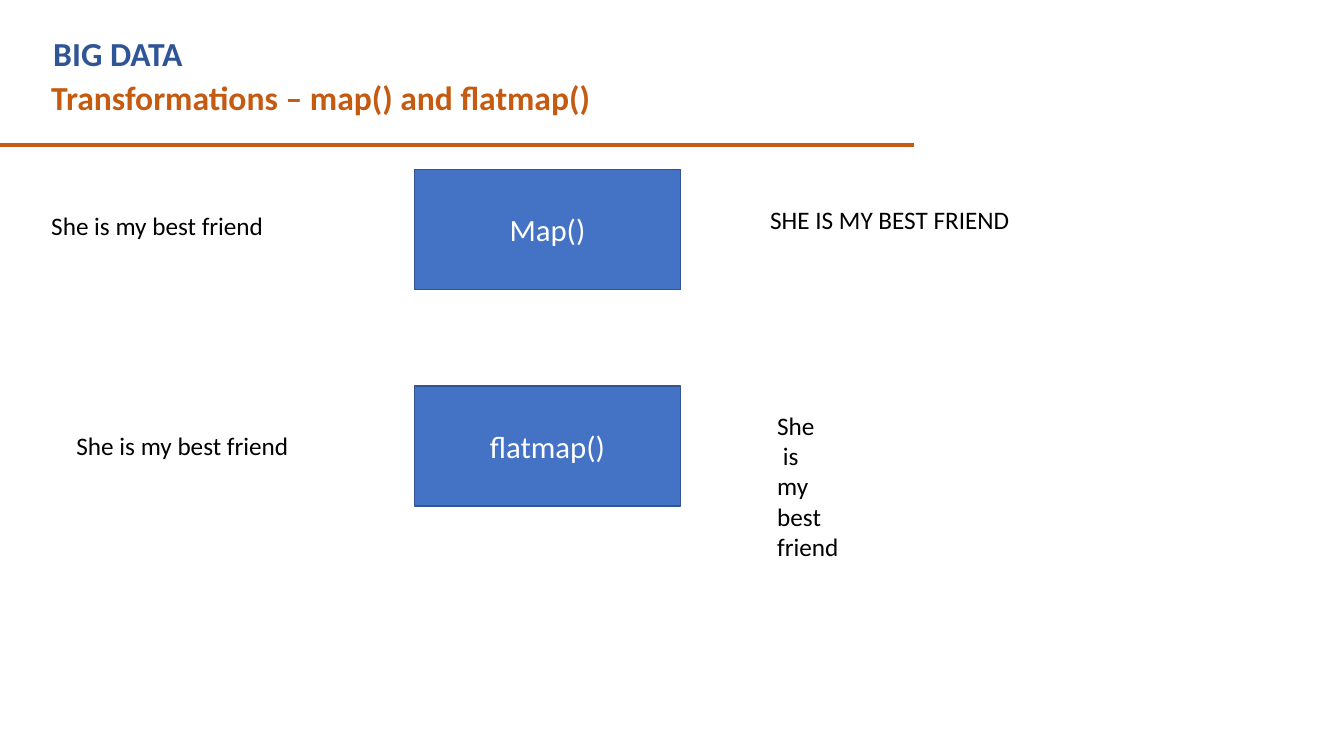
"""Build a slide comparing the map() and flatmap() transformations."""
from dataclasses import dataclass

from pptx import Presentation
from pptx.dml.color import RGBColor
from pptx.enum.shapes import MSO_CONNECTOR, MSO_SHAPE
from pptx.enum.text import MSO_ANCHOR, MSO_AUTO_SIZE, PP_ALIGN
from pptx.oxml.ns import qn
from pptx.util import Inches, Pt

RECTANGLE = MSO_SHAPE.RECTANGLE
STRAIGHT = MSO_CONNECTOR.STRAIGHT
MIDDLE = MSO_ANCHOR.MIDDLE
CENTER = PP_ALIGN.CENTER
FIT_SHAPE = MSO_AUTO_SIZE.SHAPE_TO_FIT_TEXT


@dataclass(frozen=True)
class Theme:
    font: str = "Calibri"
    blue: str = "2F5597"
    orange: str = "C55A11"
    box_fill: str = "4472C4"
    box_line: str = "325491"
    box_text: str = "FFFFFF"
    body: str = "000000"
    heading_size: int = 24
    box_size: int = 22
    body_size: int = 18


THEME = Theme()
HEADINGS = [
    ("BIG DATA", THEME.blue, (0.43, 0.28, 8.2, 0.5)),
    ("Transformations – map() and flatmap()", THEME.orange, (0.41, 0.71, 8.75, 0.5)),
]
SENTENCE = "She is my best friend"
TRANSFORMATIONS = [
    {"function": "Map()", "top": 1.68, "input_at": (0.41, 2.04),
     "output": ["SHE IS MY BEST FRIEND"], "output_at": (7.54, 1.98)},
    {"function": "flatmap()", "top": 3.83, "input_at": (0.66, 4.22),
     "output": ["She", " is", "my", "best", "friend"], "output_at": (7.61, 4.02)},
]
BOX_LEFT, BOX_WIDTH, BOX_HEIGHT = 4.11, 2.64, 1.19
TEXT_WIDTH, LINE_HEIGHT, TEXT_PADDING = 3.42, 0.3, 0.1
RULE_START, RULE_END, RULE_Y = -0.01, 9.07, 1.44


def color(value):
    return RGBColor.from_string(value)


def write(frame, lines, size, ink, bold=False, align=None):
    frame.word_wrap = True
    for index, line in enumerate(lines):
        paragraph = frame.paragraphs[0] if index == 0 else frame.add_paragraph()
        paragraph.text = line
        paragraph.alignment = align
        font = paragraph.font
        font.name, font.size, font.bold = THEME.font, Pt(size), bold
        font.color.rgb = color(ink)


def add_text(slide, bounds, lines, size, ink, bold=False):
    frame = slide.shapes.add_textbox(*map(Inches, bounds)).text_frame
    write(frame, lines, size, ink, bold)
    frame.auto_size = FIT_SHAPE


def add_body(slide, position, lines):
    height = LINE_HEIGHT * len(lines) + TEXT_PADDING
    add_text(slide, (*position, TEXT_WIDTH, height), lines, THEME.body_size, THEME.body)


def add_function(slide, label, top):
    bounds = (BOX_LEFT, top, BOX_WIDTH, BOX_HEIGHT)
    box = slide.shapes.add_shape(RECTANGLE, *map(Inches, bounds))
    box.shadow.inherit = False
    box.fill.solid()
    box.fill.fore_color.rgb = color(THEME.box_fill)
    box.line.color.rgb = color(THEME.box_line)
    box.line.width = Pt(1)
    box.text_frame.vertical_anchor = MIDDLE
    write(box.text_frame, [label], THEME.box_size, THEME.box_text, align=CENTER)


def add_rule(slide):
    ends = (RULE_START, RULE_Y, RULE_END, RULE_Y)
    rule = slide.shapes.add_connector(STRAIGHT, *map(Inches, ends))
    rule.line.color.rgb = color(THEME.orange)
    rule.line.width = Pt(3)
    properties = rule._element.spPr
    properties.append(properties.makeelement(qn("a:effectLst"), {}))


def main():
    deck = Presentation()
    deck.slide_width, deck.slide_height = Inches(13.33), Inches(7.5)
    slide = deck.slides.add_slide(deck.slide_layouts[6])
    for heading, ink, bounds in HEADINGS:
        add_text(slide, bounds, [heading], THEME.heading_size, ink, bold=True)
    add_rule(slide)
    for step in TRANSFORMATIONS:
        add_body(slide, step["input_at"], [SENTENCE])
        add_function(slide, step["function"], step["top"])
        add_body(slide, step["output_at"], step["output"])
    deck.save("out.pptx")


if __name__ == "__main__":
    main()
